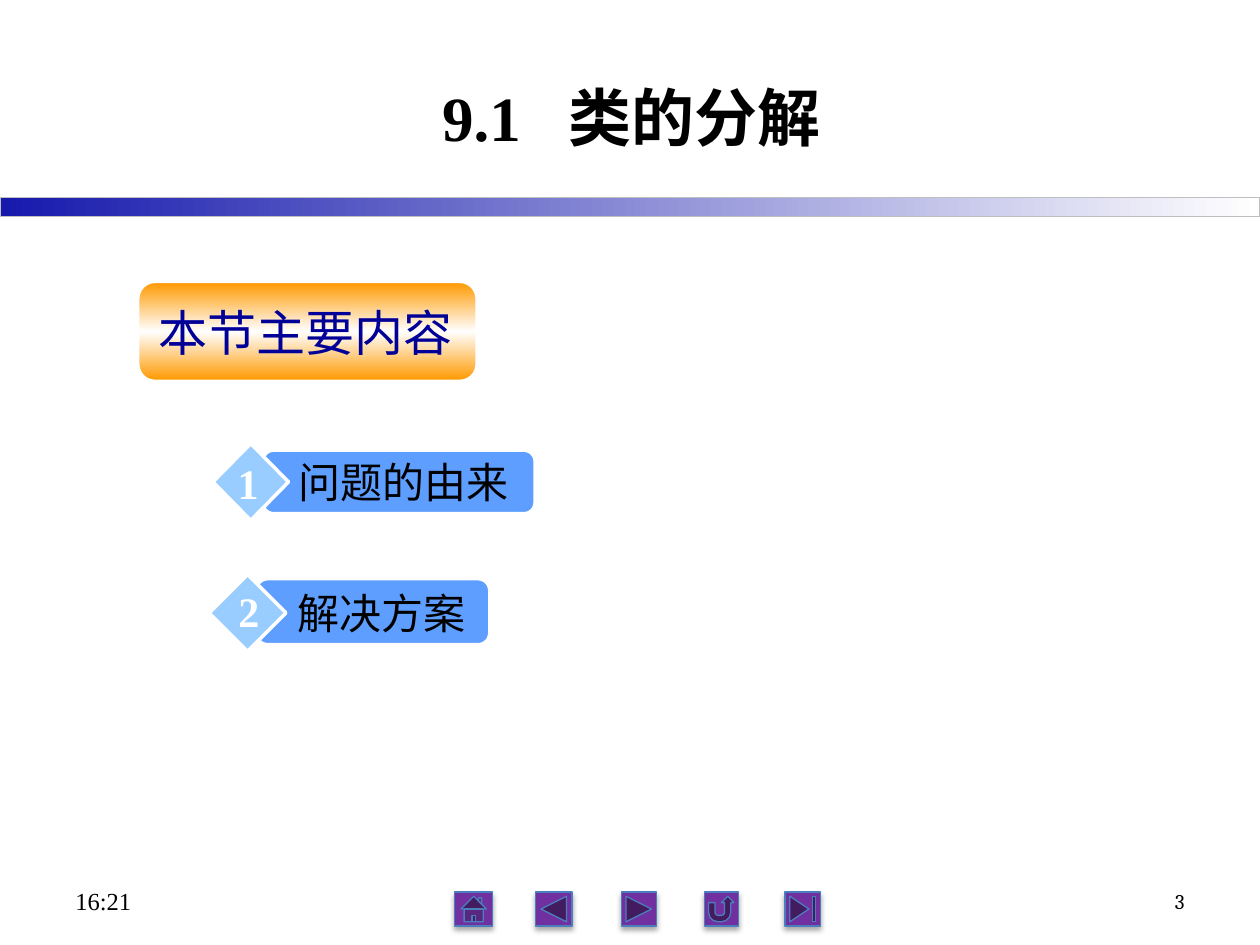
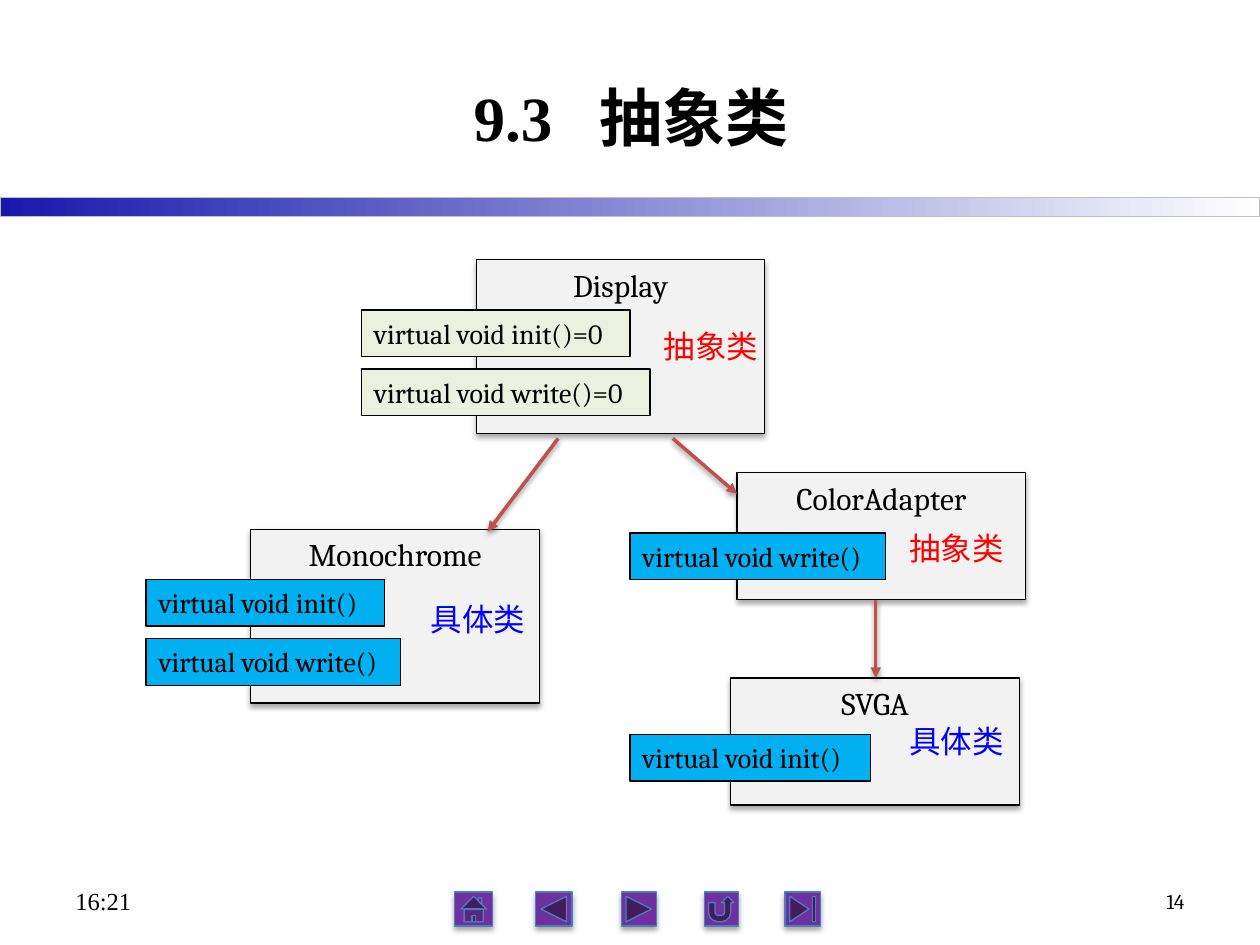
from lxml.etree import SubElement
from pptx import Presentation
from pptx.dml.color import RGBColor
from pptx.enum.shapes import MSO_CONNECTOR, MSO_SHAPE
from pptx.enum.text import MSO_ANCHOR, PP_ALIGN
from pptx.oxml.ns import qn
from pptx.util import Inches, Pt

# Palette and fonts
BLACK = RGBColor(0x00, 0x00, 0x00)
WHITE = RGBColor(0xFF, 0xFF, 0xFF)
BAND_BLUE = RGBColor(0x16, 0x19, 0xAC)
BAND_EDGE = RGBColor(0xBF, 0xBF, 0xBF)
PURPLE = RGBColor(0x70, 0x30, 0xA0)
BUTTON_EDGE = RGBColor(0x4B, 0x7E, 0xBC)
ORANGE = RGBColor(0xFF, 0x99, 0x00)
NAVY = RGBColor(0x00, 0x00, 0x99)
BAR_BLUE = RGBColor(0x5E, 0x9E, 0xFF)
DIAMOND_BLUE = RGBColor(0x99, 0xCC, 0xFF)
CLASS_GREY = RGBColor(0xF2, 0xF2, 0xF2)
PURE_GREEN = RGBColor(0xEB, 0xF1, 0xDE)
METHOD_BLUE = RGBColor(0x00, 0xB0, 0xF0)
ARROW_RED = RGBColor(0xC0, 0x50, 0x4D)
RED = RGBColor(0xFF, 0x00, 0x00)
BLUE = RGBColor(0x00, 0x00, 0xFF)
SERIF, BOOK, SANS, HAN = "Times New Roman", "Cambria", "Arial", "Noto Sans CJK SC"

WIDTH, HEIGHT = 10, 7.5
CLASS_WIDTH, METHOD_HEIGHT, METHOD_STEP = 2.29, 0.37, 0.47
LABEL_SIZE = (0.97, 0.4)

# Shared content
CLOCK = "16:21"
BUTTONS = [
    (MSO_SHAPE.ACTION_BUTTON_BACK_OR_PREVIOUS, 4.25, 0.29),
    (MSO_SHAPE.ACTION_BUTTON_FORWARD_OR_NEXT, 4.93, 0.28),
    (MSO_SHAPE.ACTION_BUTTON_HOME, 3.61, 0.3),
    (MSO_SHAPE.ACTION_BUTTON_END, 6.23, 0.28),
    (MSO_SHAPE.ACTION_BUTTON_RETURN, 5.59, 0.27),
]

# Agenda content: each part has its own place
AGENDA_HEADING = "本节主要内容"
AGENDA = [
    dict(number="1", text="问题的由来", font=SANS, inset=0.09,
         bar=(2.09, 3.58, 2.15, 0.49), diamond=(1.69, 3.52, 0.6, 0.61),
         label=(2.27, 3.53, 1.89, 0.51), digit=(1.74, 3.58, 0.46, 0.5)),
    dict(number="2", text="解决方案", font=SERIF, inset=0.05,
         bar=(2.04, 4.6, 1.84, 0.51), diamond=(1.66, 4.56, 0.61, 0.61),
         label=(2.26, 4.61, 1.62, 0.5), digit=(1.79, 4.6, 0.37, 0.5)),
]

# Class diagram content: methods are (text, width), stacked from methods_at
ABSTRACT, CONCRETE = ("抽象类", RED), ("具体类", BLUE)
CLASSES = [
    dict(name="Display", at=(3.78, 2.06), height=1.38, kind=ABSTRACT,
         kind_at=(5.17, 2.55), methods_at=(2.87, 2.46), fill=PURE_GREEN,
         methods=[("virtual void init()=0", 2.13), ("virtual void write()=0", 2.29)]),
    dict(name="Monochrome", at=(1.99, 4.2), height=1.38, kind=CONCRETE,
         kind_at=(3.32, 4.71), methods_at=(1.16, 4.6), fill=METHOD_BLUE,
         methods=[("virtual void init()", 1.89), ("virtual void write()", 2.02)]),
    dict(name="ColorAdapter", at=(5.85, 3.75), height=1.01, kind=ABSTRACT,
         kind_at=(7.12, 4.15), methods_at=(5, 4.23), fill=METHOD_BLUE,
         methods=[("virtual void write()", 2.03)]),
    dict(name="SVGA", at=(5.8, 5.38), height=1.01, kind=CONCRETE,
         kind_at=(7.12, 5.68), methods_at=(5, 5.83), fill=METHOD_BLUE,
         methods=[("virtual void init()", 1.91)]),
]
ARROWS = [((4.43, 3.48), (3.87, 4.22)), ((5.34, 3.48), (5.85, 3.92)),
          ((6.95, 4.76), (6.95, 5.38))]


def inches(lengths):
    return [Inches(length) for length in lengths]


def add_span(para, text, size, font, color=BLACK, bold=False):
    span = para.add_run()
    span.text = text
    for name, value in dict(size=Pt(size), name=font, bold=bold).items():
        setattr(span.font, name, value)
    span.font.color.rgb = color
    SubElement(span.font._element, qn("a:ea"), typeface=HAN)
    return span


def write(box, text, size, font, color=BLACK, bold=False, align=PP_ALIGN.LEFT,
          anchor=MSO_ANCHOR.TOP, wrap=True, inset=0.05):
    """Fill a box with one paragraph; top and bottom insets add up to 0.1."""
    settings = dict(word_wrap=wrap, vertical_anchor=anchor,
                    margin_left=Inches(0.1), margin_right=Inches(0.1),
                    margin_top=Inches(inset), margin_bottom=Inches(0.1 - inset))
    for name, value in settings.items():
        setattr(box.text_frame, name, value)
    para = box.text_frame.paragraphs[0]
    para.alignment = align
    add_span(para, text, size, font, color, bold)


def add_text(page, place, text, size, font, **style):
    box = page.shapes.add_textbox(*inches(place))
    write(box, text, size, font, **style)


def set_shadow(shape, alpha=35, distance=1.8):
    """Give the shape a soft shadow that falls straight down."""
    properties = shape._element.spPr
    effects = properties.find(qn("a:effectLst"))
    if effects is None:
        effects = SubElement(properties, qn("a:effectLst"))
    shadow = SubElement(effects, qn("a:outerShdw"), blurRad=str(Pt(3.1)),
                        dist=str(Pt(distance)), dir="5400000", rotWithShape="0")
    color = SubElement(shadow, qn("a:srgbClr"), val=str(BLACK))
    SubElement(color, qn("a:alpha"), val=str(alpha * 1000))


def set_gradient(shape, colors, angle):
    """Spread the colours evenly along the angle."""
    shape.fill.gradient()
    shape.fill.gradient_angle = angle
    stops = shape._element.spPr.find(".//" + qn("a:gsLst"))
    for stop in list(stops):
        stops.remove(stop)
    for index, color in enumerate(colors):
        position = 100000 * index // (len(colors) - 1)
        stop = SubElement(stops, qn("a:gs"), pos=str(position))
        SubElement(stop, qn("a:srgbClr"), val=str(color))


def add_block(page, kind, place, fill, edge, weight=0.75, angle=0, shadow=False):
    shape = page.shapes.add_shape(kind, *inches(place))
    if isinstance(fill, list):
        set_gradient(shape, fill, angle)
    else:
        shape.fill.solid()
        shape.fill.fore_color.rgb = fill
    shape.line.color.rgb = edge
    shape.line.width = Pt(weight)
    shape.shadow.inherit = False
    if shadow:
        set_shadow(shape)
    return shape


def add_arrow(page, start, end):
    arrow = page.shapes.add_connector(MSO_CONNECTOR.STRAIGHT, *inches(start + end))
    arrow.line.color.rgb = ARROW_RED
    arrow.line.width = Pt(2)
    SubElement(arrow.line._get_or_add_ln(), qn("a:tailEnd"), type="triangle")
    set_shadow(arrow, alpha=38, distance=1.6)


def add_page(deck, section, heading, number):
    """Start a page with the title, band, navigation buttons and footer."""
    page = deck.slides.add_slide(deck.slide_layouts[5])
    add_block(page, MSO_SHAPE.RECTANGLE, (0, 1.57, WIDTH, 0.15),
              [BAND_BLUE, WHITE], BAND_EDGE)
    for kind, left, width in BUTTONS:
        add_block(page, kind, (left, 7.08, width, 0.27), PURPLE, BUTTON_EDGE, shadow=True)

    title = page.shapes.title
    title.left, title.top, title.width, title.height = inches((1.11, 0.3, 7.8, 1.25))
    title.text_frame.vertical_anchor = MSO_ANCHOR.MIDDLE
    para = title.text_frame.paragraphs[0]
    para.alignment = PP_ALIGN.CENTER
    add_span(para, section, 36, SERIF, bold=True)
    gap = add_span(para, " ", 36, SERIF, bold=True)
    gap.font._element.set("spc", "1800")
    add_span(para, heading, 36, HAN, bold=True)

    footer = dict(anchor=MSO_ANCHOR.MIDDLE)
    margin, width = WIDTH * 0.05, 2.33
    add_text(page, (margin, 6.95, width, 0.4), CLOCK, 14, SERIF, **footer)
    add_text(page, (WIDTH - margin - width, 6.95, width, 0.4), number, 12, BOOK,
             align=PP_ALIGN.RIGHT, **footer)
    return page


deck = Presentation()
deck.slide_width, deck.slide_height = inches((WIDTH, HEIGHT))

# Agenda page
page = add_page(deck, "9.1", "类的分解", "3")
add_block(page, MSO_SHAPE.ROUNDED_RECTANGLE, (1.1, 2.24, 2.68, 0.78),
          [ORANGE, WHITE, ORANGE], WHITE, weight=1, angle=270)
add_text(page, (1.16, 2.31, 2.56, 0.57), AGENDA_HEADING, 28, SANS, color=NAVY, inset=0.09)
for item in AGENDA:
    add_block(page, MSO_SHAPE.ROUNDED_RECTANGLE, item["bar"], BAR_BLUE, WHITE, weight=1)
    add_block(page, MSO_SHAPE.DIAMOND, item["diamond"], DIAMOND_BLUE, WHITE, weight=2)
    add_text(page, item["label"], item["text"], 24, item["font"], inset=item["inset"])
    add_text(page, item["digit"], item["number"], 24, SERIF, color=WHITE, bold=True,
             align=PP_ALIGN.CENTER, wrap=False)

# Class diagram page
page = add_page(deck, "9.3", "抽象类", "14")
for entry in CLASSES:
    box = add_block(page, MSO_SHAPE.RECTANGLE,
                    entry["at"] + (CLASS_WIDTH, entry["height"]),
                    CLASS_GREY, BLACK, shadow=True)
    write(box, entry["name"], 18, BOOK, align=PP_ALIGN.CENTER)
    left, top = entry["methods_at"]
    for row, (method, width) in enumerate(entry["methods"]):
        place = (left, top + row * METHOD_STEP, width, METHOD_HEIGHT)
        box = add_block(page, MSO_SHAPE.RECTANGLE, place, entry["fill"], BLACK)
        write(box, method, 16, BOOK)
    kind, color = entry["kind"]
    add_text(page, entry["kind_at"] + LABEL_SIZE, kind, 18, BOOK, color=color)
for start, end in ARROWS:
    add_arrow(page, start, end)

deck.save("out.pptx")
